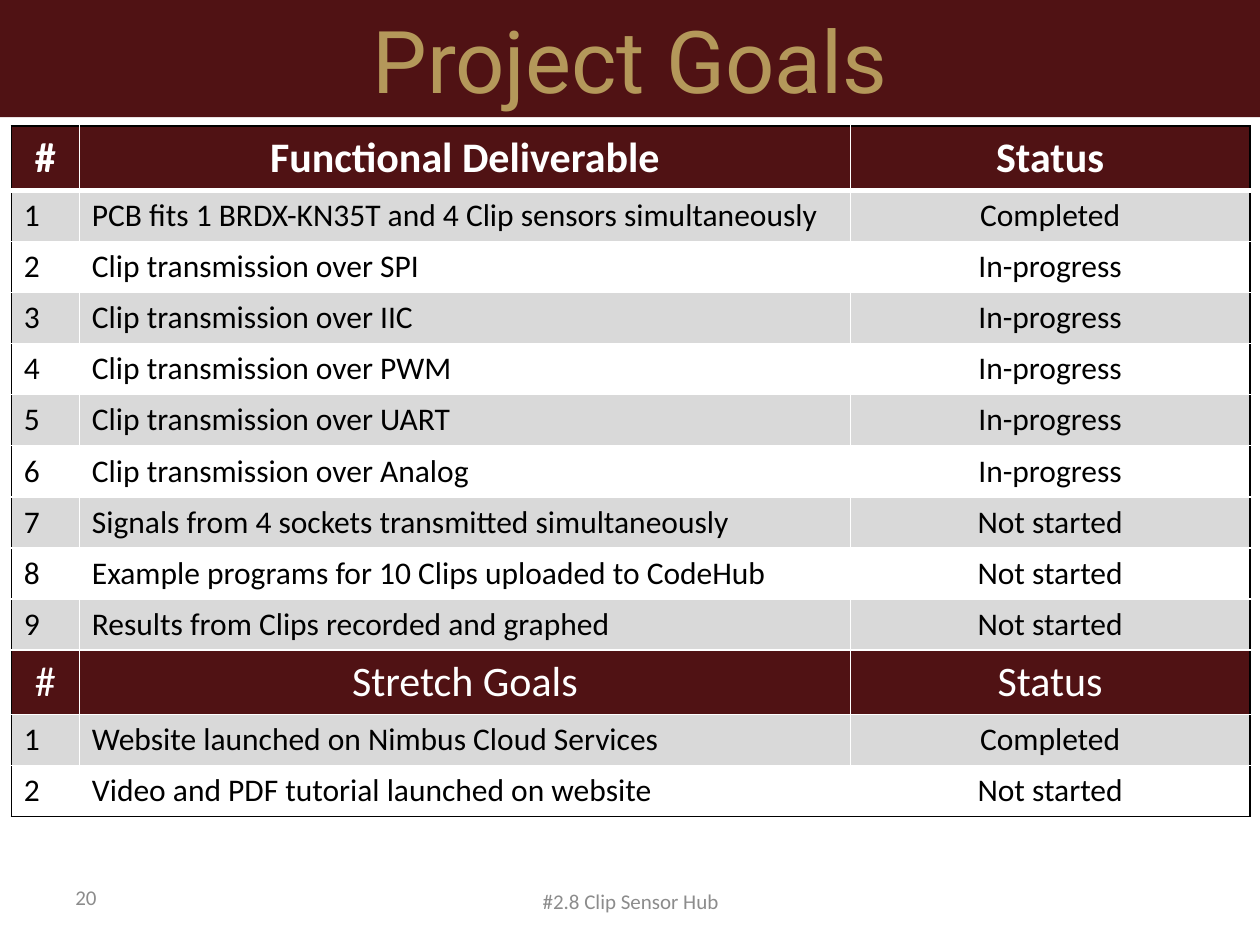
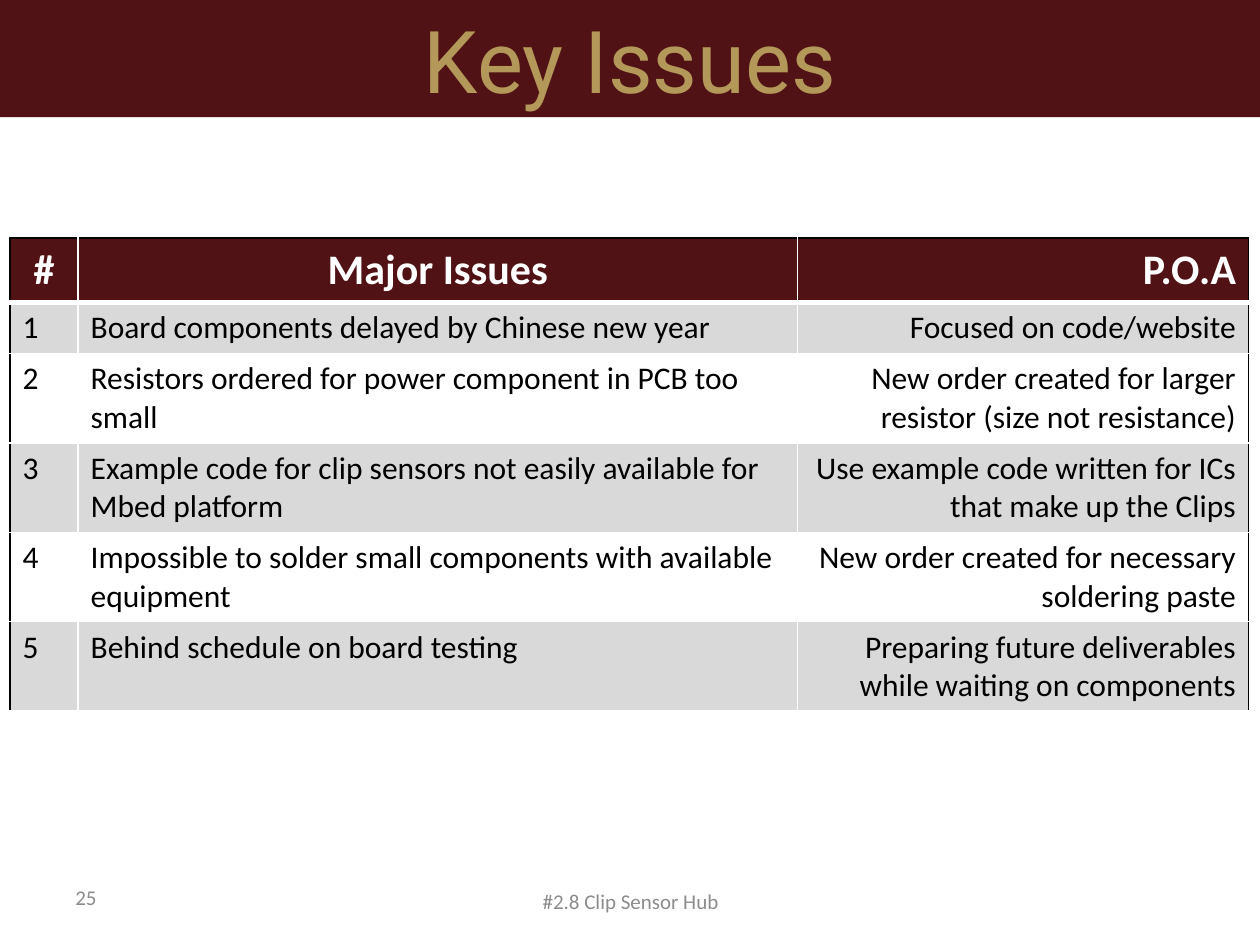
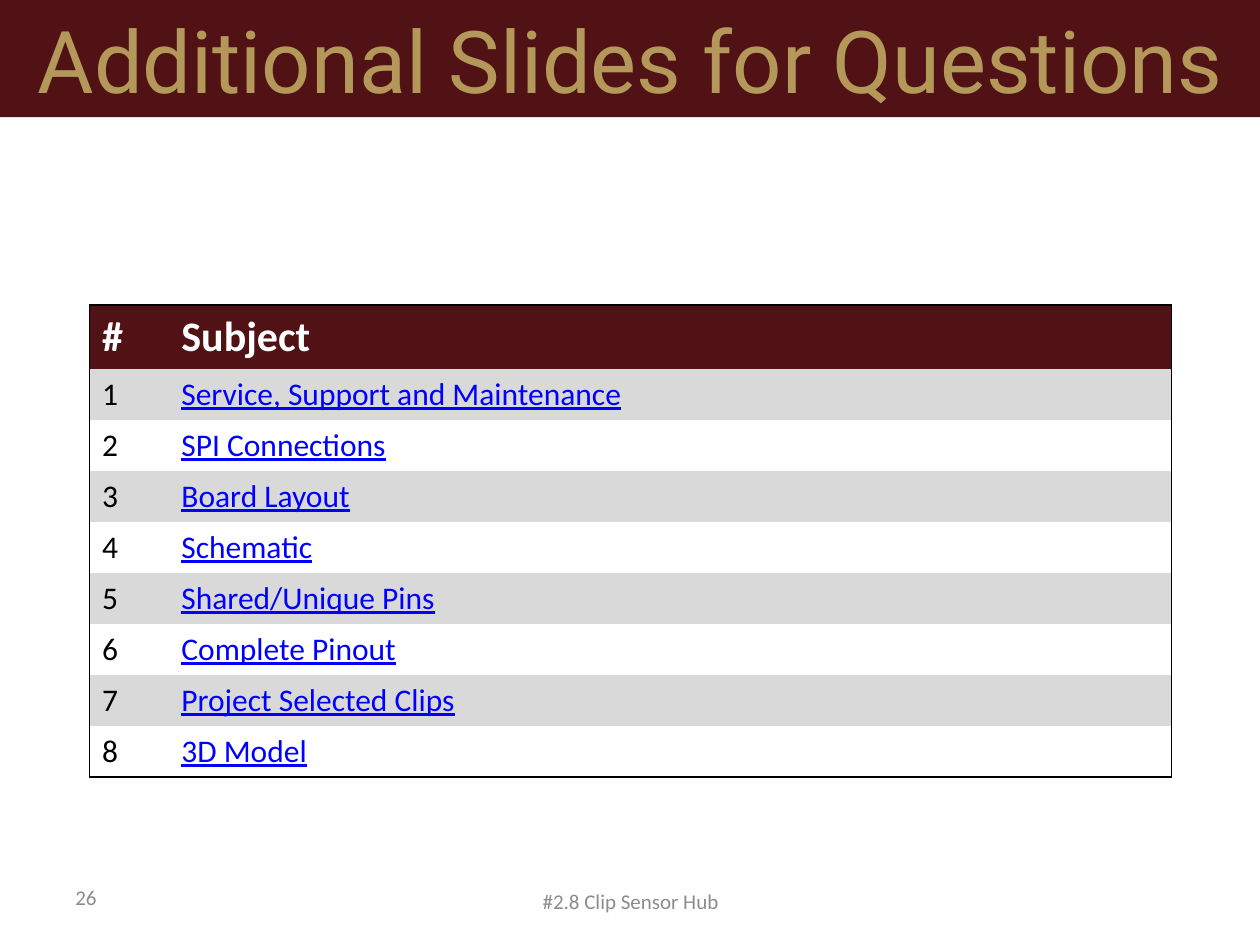
from lxml import etree
from pptx import Presentation
from pptx.dml.color import RGBColor
from pptx.enum.shapes import MSO_SHAPE
from pptx.enum.text import MSO_ANCHOR, PP_ALIGN
from pptx.oxml.ns import qn
from pptx.util import Inches, Pt

LEFT, CENTER, RIGHT = PP_ALIGN.LEFT, PP_ALIGN.CENTER, PP_ALIGN.RIGHT
MIDDLE = MSO_ANCHOR.MIDDLE
RECTANGLE = MSO_SHAPE.RECTANGLE

COLORS = {
    "maroon": "501214",
    "gold": "B4985A",
    "gray": "8C8C8C",
    "stripe": "D9D9D9",
    "white": "FFFFFF",
    "black": "000000",
    "link": "0000FF",
}
FOOTER = "#2.8 Clip Sensor Hub"
HEADER_SIZE, BODY_SIZE = 24, 18
HEADER_HEIGHT, CELL_PADDING = 0.51, 0.1
LINE_HEIGHT = BODY_SIZE * 1.22 / 72

SLIDES = [
    {
        "title": "Project Goals", "number": "20",
        "left": 0.09, "top": 1, "columns": [0.54, 6.12, 3.17],
        "header_aligns": [CENTER, CENTER, CENTER],
        "body_aligns": [LEFT, LEFT, CENTER],
        "inner": "white", "bottom": "black", "text_colors": ["black"] * 3,
        "tall_rows": [],
        "rows": [
            ["#", "Functional Deliverable", "Status"],
            ["1", "PCB fits 1 BRDX-KN35T and 4 Clip sensors simultaneously", "Completed"],
            ["2", "Clip transmission over SPI", "In-progress"],
            ["3", "Clip transmission over IIC", "In-progress"],
            ["4", "Clip transmission over PWM", "In-progress"],
            ["5", "Clip transmission over UART", "In-progress"],
            ["6", "Clip transmission over Analog", "In-progress"],
            ["7", "Signals from 4 sockets transmitted simultaneously", "Not started"],
            ["8", "Example programs for 10 Clips uploaded to CodeHub", "Not started"],
            ["9", "Results from Clips recorded and graphed", "Not started"],
            ["#", "Stretch Goals", "Status"],
            ["1", "Website launched on Nimbus Cloud Services", "Completed"],
            ["2", "Video and PDF tutorial launched on website", "Not started"],
        ],
    },
    {
        "title": "Key Issues", "number": "25",
        "left": 0.08, "top": 1.89, "columns": [0.54, 5.71, 3.58],
        "header_aligns": [CENTER, CENTER, RIGHT],
        "body_aligns": [LEFT, LEFT, RIGHT],
        "inner": "white", "bottom": "white", "text_colors": ["black"] * 3,
        "tall_rows": [2, 3, 4, 5],
        "rows": [
            ["#", "Major Issues", "P.O.A"],
            ["1", "Board components delayed by Chinese new year", "Focused on code/website"],
            ["2", "Resistors ordered for power component in PCB too small",
             "New order created for larger resistor (size not resistance)"],
            ["3", "Example code for clip sensors not easily available for Mbed platform",
             "Use example code written for ICs that make up the Clips"],
            ["4", "Impossible to solder small components with available equipment",
             "New order created for necessary soldering paste"],
            ["5", "Behind schedule on board testing",
             "Preparing future deliverables while waiting on components"],
        ],
    },
    {
        "title": "Additional Slides for Questions", "number": "26",
        "left": 0.71, "top": 2.42, "columns": [0.63, 7.96],
        "header_aligns": [LEFT, LEFT],
        "body_aligns": [LEFT, LEFT],
        "inner": None, "bottom": "black", "text_colors": ["black", "link"],
        "tall_rows": [],
        "rows": [
            ["#", "Subject"],
            ["1", "Service, Support and Maintenance"],
            ["2", "SPI Connections"],
            ["3", "Board Layout"],
            ["4", "Schematic"],
            ["5", "Shared/Unique Pins"],
            ["6", "Complete Pinout"],
            ["7", "Project Selected Clips"],
            ["8", "3D Model"],
        ],
    },
]


def write_text(frame, text, size, color, align, font="Calibri"):
    para = frame.paragraphs[0]
    para.alignment = align
    span = para.add_run()
    span.text = text
    span.font.name = font
    span.font.size = Pt(size)
    span.font.color.rgb = RGBColor.from_string(COLORS[color])
    return span


def add_border(cell, side, color, width):
    """Draw one cell edge (L, R, T or B); a color of None hides it."""
    line = etree.SubElement(cell._tc.get_or_add_tcPr(), qn(f"a:ln{side}"), w=str(Pt(width)))
    if color is None:
        etree.SubElement(line, qn("a:noFill"))
    else:
        fill = etree.SubElement(line, qn("a:solidFill"))
        etree.SubElement(fill, qn("a:srgbClr"), val=COLORS[color])


deck = Presentation()
deck.slide_width, deck.slide_height = Inches(10), Inches(7.5)

for content in SLIDES:
    page = deck.slides.add_slide(deck.slide_layouts[6])

    # Goal, issue or subject table
    rows, columns = content["rows"], content["columns"]
    heights = []
    for row, texts in enumerate(rows):
        lines = 2 if row in content["tall_rows"] else 1
        heights.append(HEADER_HEIGHT if texts[0] == "#" else lines * LINE_HEIGHT + CELL_PADDING)
    table = page.shapes.add_table(
        len(rows), len(columns), Inches(content["left"]), Inches(content["top"]),
        Inches(sum(columns)), Inches(sum(heights))).table
    for column, width in enumerate(columns):
        table.columns[column].width = Inches(width)

    inner = content["inner"]
    last_row, last_column = len(rows) - 1, len(columns) - 1
    for row, texts in enumerate(rows):
        table.rows[row].height = Inches(heights[row])
        is_header = texts[0] == "#"
        for column, text in enumerate(texts):
            cell = table.cell(row, column)
            add_border(cell, "L", "black" if column == 0 else inner, 1)
            add_border(cell, "R", "black" if column == last_column else inner, 1)
            add_border(cell, "T", "black" if row == 0 else inner, 3 if row == 1 else 1)
            add_border(cell, "B", content["bottom"] if row == last_row else inner,
                       3 if row == 0 else 1)
            fill = "maroon" if is_header else "stripe" if row % 2 else "white"
            cell.fill.solid()
            cell.fill.fore_color.rgb = RGBColor.from_string(COLORS[fill])
            if is_header:
                span = write_text(cell.text_frame, text, HEADER_SIZE, "white",
                                  content["header_aligns"][column])
            else:
                color = content["text_colors"][column]
                span = write_text(cell.text_frame, text, BODY_SIZE, color,
                                  content["body_aligns"][column])
                span.font.underline = color == "link"
            span.font.bold = row == 0

    # Footer and slide number
    for text, left, top, width, align in [
        (FOOTER, 3.42, 6.95, 3.17, CENTER),
        (content["number"], 0.5, 6.92, 2.33, LEFT),
    ]:
        box = page.shapes.add_textbox(Inches(left), Inches(top), Inches(width), Inches(0.4))
        box.text_frame.word_wrap = True
        box.text_frame.vertical_anchor = MIDDLE
        write_text(box.text_frame, text, 12, "gray", align)

    # Title band
    band = page.shapes.add_shape(RECTANGLE, 0, 0, deck.slide_width, Inches(0.93))
    band.shadow.inherit = False
    band.fill.solid()
    band.fill.fore_color.rgb = RGBColor.from_string(COLORS["maroon"])
    band.line.fill.background()
    band.text_frame.word_wrap = True
    band.text_frame.vertical_anchor = MIDDLE
    write_text(band.text_frame, content["title"], 49.5, "gold", CENTER, "Roboto")

deck.save("out.pptx")
